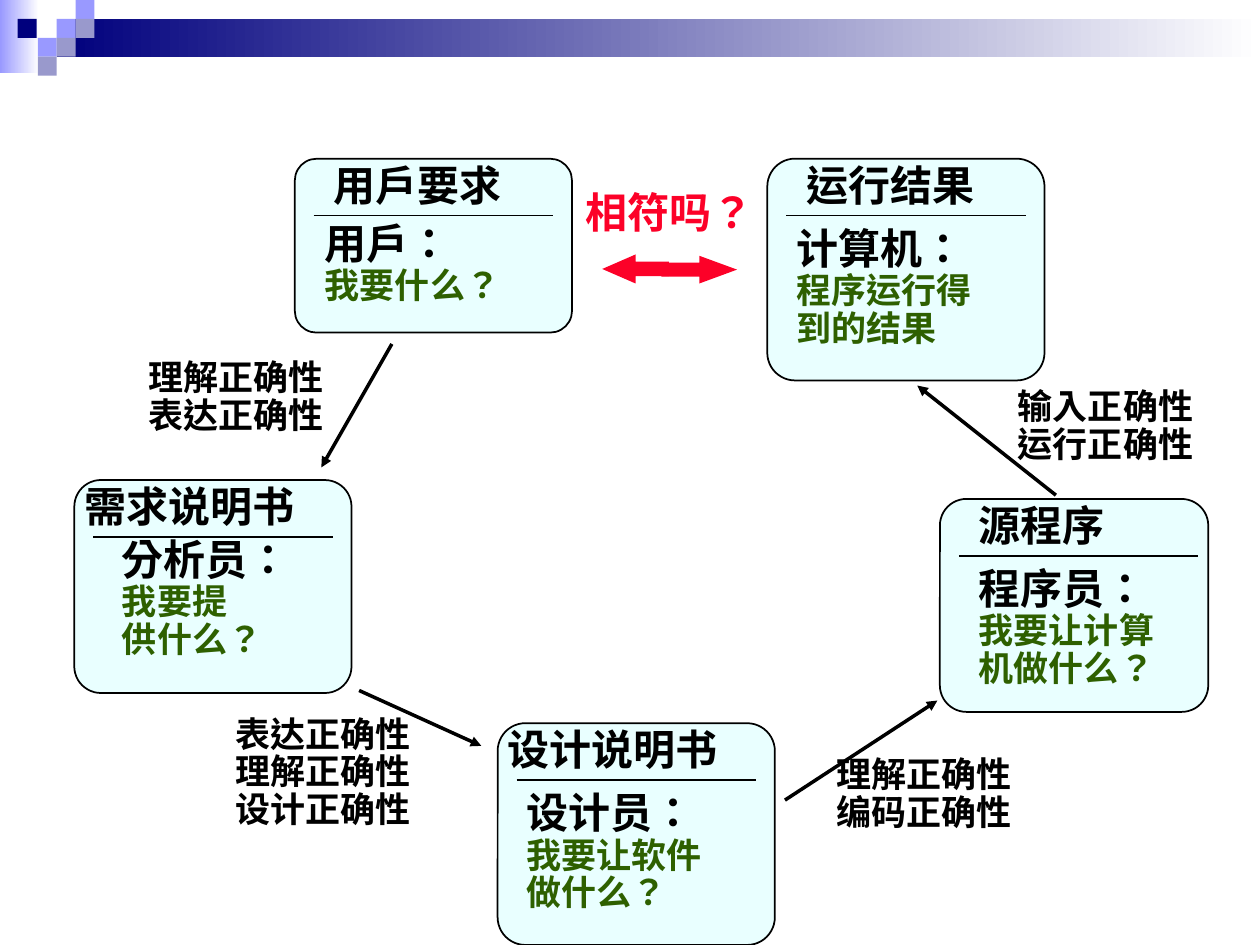
from pptx import Presentation
from pptx.dml.color import RGBColor
from pptx.enum.lang import MSO_LANGUAGE_ID as LANG
from pptx.enum.shapes import MSO_CONNECTOR as LINK, MSO_SHAPE as SHAPE
from pptx.enum.text import MSO_AUTO_SIZE as AUTO
from pptx.oxml.ns import qn
from pptx.util import Pt
from lxml import etree

PX = 9144  # 100 px to the inch
FONT = "Noto Sans CJK SC"
COLORS = {
    "navy": "00007D", "violet": "9999FF", "lilac": "9999CC", "white": "FFFFFF",
    "card": "E9FFFF", "black": "000000", "green": "2E6000", "red": "FC0128",
}
RGB = {name: RGBColor.from_string(code) for name, code in COLORS.items()}

prs = Presentation()
prs.slide_width, prs.slide_height = 1000 * PX, 750 * PX
slide = prs.slides.add_slide(prs.slide_layouts[6])
shapes = slide.shapes


def add_text(x, y, w, h, lines, wrap=True):
    """Each line is (text, size, colour)."""
    frame = shapes.add_textbox(x * PX, y * PX, w * PX, h * PX).text_frame
    frame.word_wrap = wrap
    frame.auto_size = AUTO.SHAPE_TO_FIT_TEXT
    frame.text = "\n".join(text for text, _, _ in lines)
    for paragraph, (_, size, color) in zip(frame.paragraphs, lines):
        paragraph.line_spacing = 0.9
        font = paragraph.runs[0].font
        font.name, font.size, font.bold = FONT, Pt(size), True
        font.language_id = LANG.TRADITIONAL_CHINESE  # centres the full-width marks
        font.color.rgb = RGB[color]
        east_asian = etree.SubElement(font._element, qn("a:ea"))
        east_asian.set("typeface", FONT)


def add_line(x1, y1, x2, y2, width, arrow=False):
    line = shapes.add_connector(LINK.STRAIGHT, x1 * PX, y1 * PX, x2 * PX, y2 * PX)
    line.line.color.rgb = RGB["black"]
    line.line.width = Pt(width)
    if arrow:
        etree.SubElement(line.line._get_or_add_ln(), qn("a:tailEnd")).set("type", "triangle")
    etree.SubElement(line._element.spPr, qn("a:effectLst"))


# Header: two fading bars
for x, y, w, h, color in [(0, 0, 31, 58, "violet"), (45, 15, 955, 30, "navy")]:
    bar = shapes.add_shape(SHAPE.RECTANGLE, x * PX, y * PX, w * PX, h * PX)
    bar.shadow.inherit = False
    bar.line.fill.background()
    bar.fill.gradient()
    bar.fill.gradient_angle = 0
    for stop, position, tint in zip(bar.fill.gradient_stops, (0, 1), (color, "white")):
        stop.position = position
        stop.color.rgb = RGB[tint]

# Header: small squares
squares = [
    (45, 15, "violet"), (60, 0, "violet"), (60, 15, "lilac"), (30, 30, "violet"),
    (14, 15, "navy"), (45, 30, "lilac"), (30, 45, "lilac"),
]
for x, y, color in squares:
    square = shapes.add_shape(SHAPE.RECTANGLE, x * PX, y * PX, 15 * PX, 15 * PX)
    square.shadow.inherit = False
    square.line.fill.background()
    square.fill.solid()
    square.fill.fore_color.rgb = RGB[color]

# Stage cards: x, y, w, h, title, (title dx, w), role, question, (body dx, dy, w, h)
cards = [
    (234, 126, 220, 138, "用户要求", (21, 155), "用户：", ["我要什么？"], (14, 46, 209, 76)),
    (609, 126, 220, 176, "运行结果", (21, 155), "计算机：", ["程序运行得", "到的结果"], (13, 50, 159, 106)),
    (746, 396, 213, 169, "源程序", (21, 122), "程序员：", ["我要让计算", "机做什么？"], (21, 50, 159, 106)),
    (395, 574, 220, 176, "设计说明书", (-2, 190), "设计员：", ["我要让软件", "做什么？"], (13, 50, 159, 106)),
    (59, 381, 220, 169, "需求说明书", (-2, 190), "分析员：", ["我要提", "供什么？"], (28, 42, 137, 106)),
]
for x, y, w, h, title, (title_dx, title_w), role, question, (dx, dy, body_w, body_h) in cards:
    card = shapes.add_shape(SHAPE.ROUNDED_RECTANGLE, x * PX, y * PX, w * PX, h * PX)
    card.adjustments[0] = 0.125
    card.shadow.inherit = False
    card.fill.solid()
    card.fill.fore_color.rgb = RGB["card"]
    card.line.color.rgb = RGB["black"]
    card.line.width = Pt(1)
    add_text(x + title_dx, y, title_w, 46, [(title, 24, "black")], wrap=False)
    add_line(x + 15, y + 45, x + 205, y + 45, 1)
    body = [(role, 24, "black")] + [(text, 20, "green") for text in question]
    add_text(x + dx, y + dy, body_w, body_h, body)

# Steps between the cards: arrow ends, then label place and lines
steps = [
    ((311, 273, 255, 371), (108, 281), ["理解正确性", "表达正确性"]),
    ((285, 548, 382, 592), (177, 564), ["表达正确性", "理解正确性", "设计正确性"]),
    ((623, 635, 744, 556), (654, 596), ["理解正确性", "编码正确性"]),
    ((838, 393, 728, 306), (798, 304), ["输入正确性", "运行正确性"]),
]
for ends, (x, y), checks in steps:
    add_line(*ends, 2, arrow=True)
    add_text(x, y, 159, 10 + 30 * len(checks), [(check, 20, "black") for check in checks])

# Comparison of request and result: two red arrows back to back
halves = [
    (SHAPE.LEFT_ARROW, 478, 202, 53, 23, 1.15),
    (SHAPE.RIGHT_ARROW, 525, 203, 60, 22, 1.36),
]
for kind, x, y, w, h, head in halves:
    half = shapes.add_shape(kind, x * PX, y * PX, w * PX, h * PX)
    half.adjustments[0], half.adjustments[1] = 0.5, head
    half.shadow.inherit = False
    half.line.fill.background()
    half.fill.solid()
    half.fill.fore_color.rgb = RGB["red"]
add_text(455, 148, 168, 46, [("相符吗？", 24, "red")])

prs.save("out.pptx")
